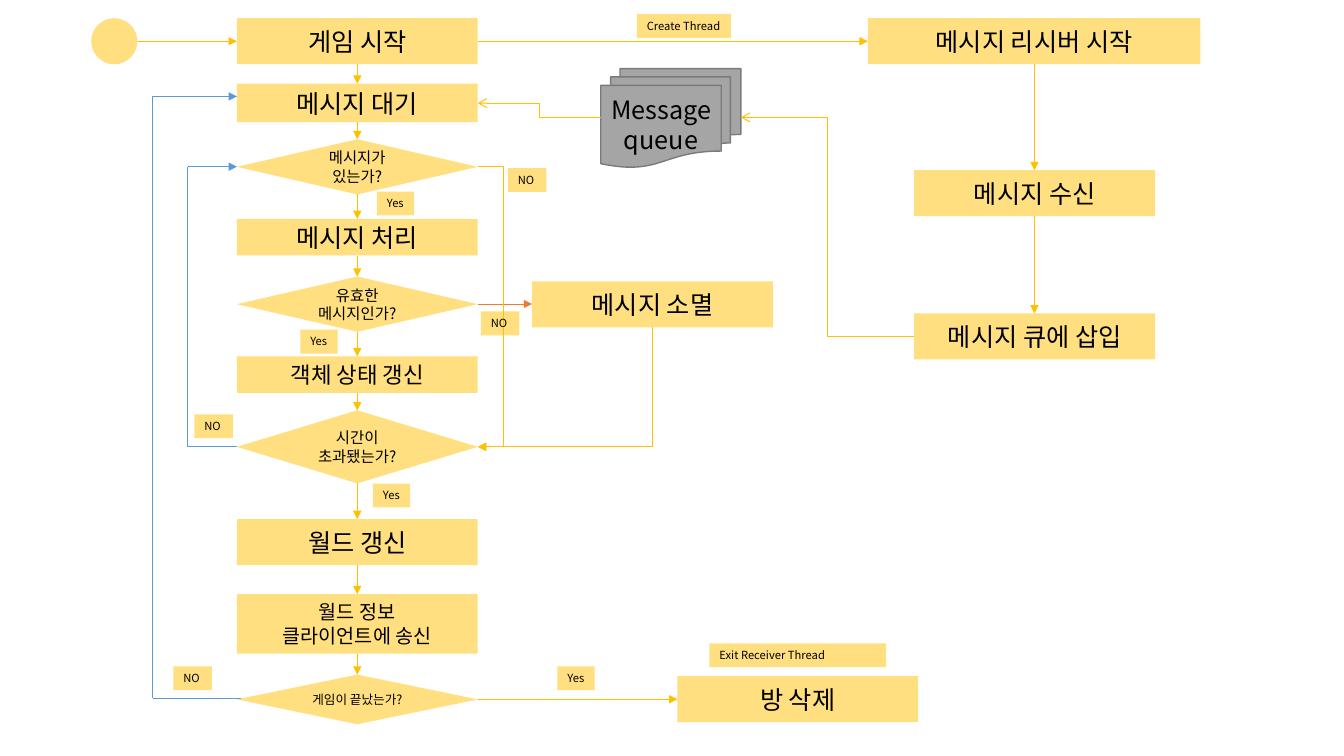
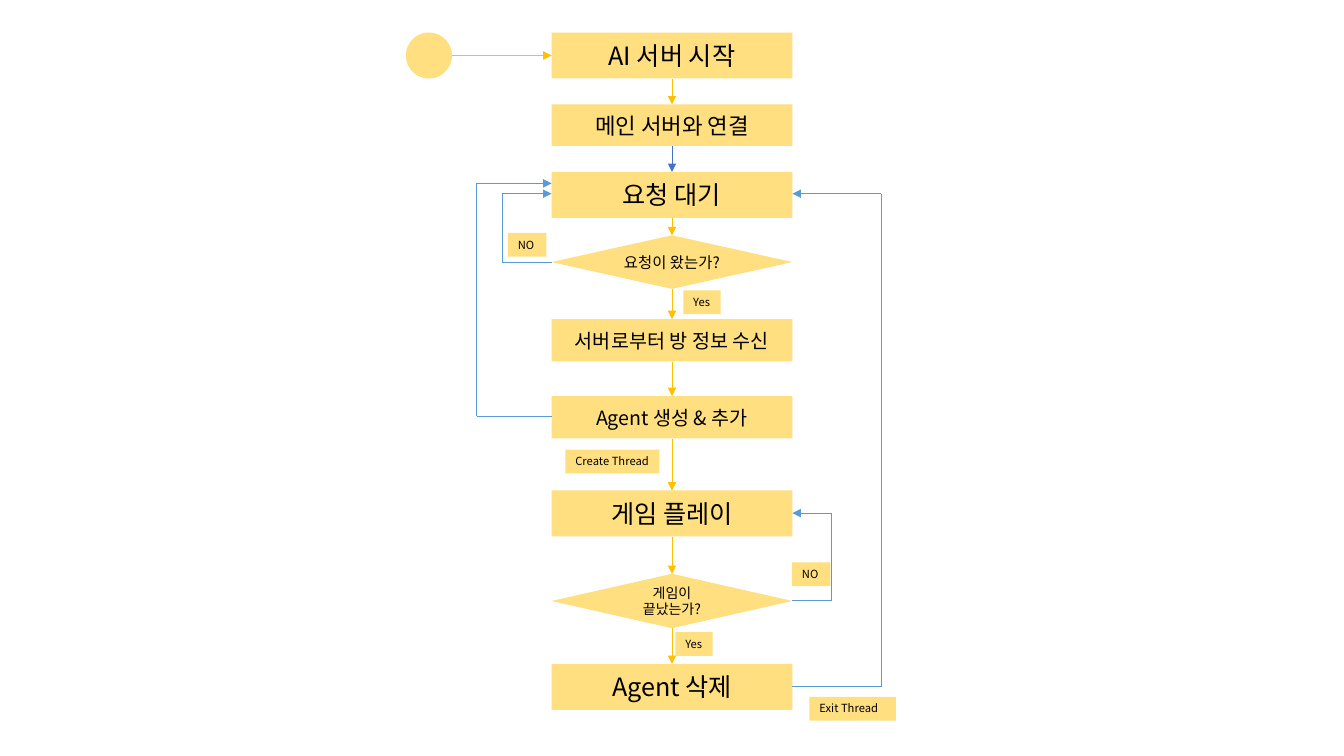
import dataclasses

import lxml.etree
import pptx
import pptx.dml.color
import pptx.enum.shapes
import pptx.enum.text
import pptx.oxml.ns
import pptx.util

Cm = pptx.util.Cm
Pt = pptx.util.Pt
RGB = pptx.dml.color.RGBColor.from_string
qn = pptx.oxml.ns.qn
SHAPE = pptx.enum.shapes.MSO_SHAPE
ELBOW = pptx.enum.shapes.MSO_CONNECTOR.ELBOW
STRAIGHT = pptx.enum.shapes.MSO_CONNECTOR.STRAIGHT
ALIGN = pptx.enum.text.PP_ALIGN
ANCHOR = pptx.enum.text.MSO_ANCHOR
FIT = pptx.enum.text.MSO_AUTO_SIZE.SHAPE_TO_FIT_TEXT


@dataclasses.dataclass(frozen=True)
class Theme:
    font: str = "Noto Sans CJK KR"
    ink: str = "000000"
    amber: str = "FFC000"
    blue: str = "5B9BD5"
    navy: str = "4472C4"
    orange: str = "ED7D31"
    gray: str = "A5A5A5"
    gray_edge: str = "7A7A7A"
    large: int = 18
    medium: int = 16
    small: int = 14
    question: int = 11
    question_small: int = 10
    question_tiny: int = 9
    label: int = 8


T = Theme()
BOX_W, BOX_H = 6.07, 1.16
LABEL_H = 0.6
RECT, DECISION = SHAPE.RECTANGLE, SHAPE.FLOWCHART_DECISION


def box(s, text, x, y, w=BOX_W, h=BOX_H, kind=RECT, size=T.large,
        fill=T.amber, edge=None, label=False, wrap=True):
    """Place a filled shape, or a text box when label is set."""
    at = Cm(x), Cm(y), Cm(w), Cm(h)
    if label:
        sp = s.shapes.add_textbox(*at)
    else:
        sp = s.shapes.add_shape(kind, *at)
        sp.shadow.inherit = False
    sp.fill.solid()
    sp.fill.fore_color.rgb = RGB(fill)
    if edge:
        sp.line.color.rgb = RGB(edge)
        sp.line.width = Pt(1)
    else:
        sp.line.fill.background()
        color = sp.element.spPr.find(qn("a:solidFill"))[0]
        lxml.etree.SubElement(color, qn("a:alpha"), val="50000")
    if not text:
        return
    tf = sp.text_frame
    tf.word_wrap = wrap
    tf.vertical_anchor = ANCHOR.TOP if label else ANCHOR.MIDDLE
    if label:
        tf.auto_size = FIT
    for i, words in enumerate(text.split("\n")):
        p = tf.add_paragraph() if i else tf.paragraphs[0]
        p.alignment = ALIGN.LEFT if label else ALIGN.CENTER
        r = p.add_run()
        r.text = words
        r.font.size = Pt(size)
        r.font.name = T.font
        r.font.color.rgb = RGB(T.ink)
        lxml.etree.SubElement(r.font._element, qn("a:ea"), typeface=T.font)


def route(s, *points, color=T.amber, kind=STRAIGHT, width=0.5, head="triangle"):
    """Join the points by connectors; the last one has the arrowhead."""
    for i, (a, b) in enumerate(zip(points, points[1:])):
        c = s.shapes.add_connector(kind, *(Cm(v) for v in a + b))
        c.line.color.rgb = RGB(color)
        c.line.width = Pt(width)
        spPr = c.element.spPr
        if i == len(points) - 2:
            lxml.etree.SubElement(spPr.find(qn("a:ln")), qn("a:tailEnd"), type=head)
        lxml.etree.SubElement(spPr, qn("a:effectLst"))
    return c


prs = pptx.Presentation()
prs.slide_width, prs.slide_height = Cm(33.87), Cm(19.05)

# Both flows: start circle, then the steps (text, kind, top, height, size)
flows = [
    (5.97, 2.3, [
        ("게임 시작", RECT, 0.46, BOX_H, T.large),
        ("메시지 대기", RECT, 2.11, 0.97, T.large),
        ("메시지가\n있는가?", DECISION, 3.51, 1.39, T.question),
        ("메시지 처리", RECT, 5.52, 0.92, T.large),
        ("유효한\n메시지인가?", DECISION, 6.97, 1.39, T.question),
        ("객체 상태 갱신", RECT, 8.98, 0.92, T.medium),
        ("시간이\n초과됐는가?", DECISION, 10.34, 1.84, T.question),
        ("월드 갱신", RECT, 13.08, BOX_H, T.large),
        ("월드 정보\n클라이언트에 송신", RECT, 14.97, 1.5, T.small),
        ("게임이 끝났는가?", DECISION, 17, 1.25, T.question_tiny),
    ]),
    (13.9, 10.23, [
        ("AI 서버 시작", RECT, 0.82, BOX_H, T.large),
        ("메인 서버와 연결", RECT, 2.63, 1.05, T.medium),
        ("요청 대기", RECT, 4.33, BOX_H, T.large),
        ("요청이 왔는가?", DECISION, 5.93, 1.35, T.question),
        ("서버로부터 방 정보 수신", RECT, 8.04, 1.07, T.small),
        ("Agent 생성 & 추가", RECT, 9.98, 1.07, T.small),
        ("게임 플레이", RECT, 12.36, BOX_H, T.large),
        ("게임이\n끝났는가?", DECISION, 14.46, 1.37, T.question_small),
        ("Agent 삭제", RECT, 16.73, BOX_H, T.large),
    ]),
]
slides = []
for left, circle, steps in flows:
    s = prs.slides.add_slide(prs.slide_layouts[6])
    slides.append(s)
    top, middle = steps[0][2], left + BOX_W / 2
    box(s, "", circle, top, BOX_H, kind=SHAPE.FLOWCHART_CONNECTOR)
    route(s, (circle + BOX_H, top + BOX_H / 2), (left, top + BOX_H / 2))
    bottom = None
    for text, kind, y, h, size in steps:
        if bottom:
            color = T.navy if text == "요청 대기" else T.amber
            route(s, (middle, bottom), (middle, y), color=color)
        box(s, text, left, y, h=h, kind=kind, size=size)
        bottom = y + h
game, agent = slides

# Game server: receiver thread, message queue and side steps
box(game, "메시지 리시버 시작", 21.87, 0.46, w=8.38)
box(game, "메시지 수신", 23.04, 4.29)
box(game, "메시지 큐에 삽입", 23.04, 7.9)
box(game, "메시지 소멸", 13.41, 7.09)
box(game, "방 삭제", 17.07, 17.04)
box(game, "Message queue", 15.14, 1.73, 3.53, 2.49,
    kind=SHAPE.FLOWCHART_MULTIDOCUMENT, fill=T.gray, edge=T.gray_edge)
route(game, (12.04, 1.04), (21.87, 1.04))
route(game, (26.07, 1.62), (26.07, 4.29))
route(game, (26.07, 5.45), (26.07, 7.9))
route(game, (12.04, 7.66), (13.41, 7.66), color=T.orange)
route(game, (12.04, 17.62), (17.07, 17.62))
route(game, (23.04, 8.47), (18.67, 2.96), kind=ELBOW, width=0.75, head="arrow")
route(game, (15.14, 2.96), (12.04, 2.6), kind=ELBOW, width=0.75, head="arrow")

# No message: step out to the right and come back to the time check
skip = route(game, (12.04, 4.2), (12.05, 11.26), kind=ELBOW)
guides = skip.element.spPr.find(qn("a:prstGeom")).get_or_add_avLst()
lxml.etree.SubElement(guides, qn("a:gd"), name="adj1", fmla="val 6400000")

# Dropped message: down, then left, as a one-corner elbow turned by 90 degrees
x1, y1, x2, y2 = 16.44, 8.25, 12.04, 11.26
cx, cy, half_w, half_h = (x1 + x2) / 2, (y1 + y2) / 2, (y2 - y1) / 2, (x1 - x2) / 2
drop = route(game, (cx - half_w, cy - half_h), (cx + half_w, cy + half_h), kind=ELBOW)
drop.element.spPr.find(qn("a:xfrm")).set("rot", "5400000")
drop.element.spPr.find(qn("a:prstGeom")).set("prst", "bentConnector2")

# Blue loops back: (slide, start x, start y, turn x, end y, end x)
for s, x, y, turn, end_y, end_x in [
    (game, 5.97, 11.26, 4.73, 4.2, 5.97),
    (game, 6.07, 17.6, 3.85, 2.43, 5.97),
    (agent, 13.9, 6.6, 12.65, 4.88, 13.9),
    (agent, 13.9, 10.49, 12.01, 4.62, 13.9),
    (agent, 19.97, 15.14, 20.96, 12.93, 19.97),
    (agent, 19.97, 17.3, 22.2, 4.88, 19.97),
]:
    route(s, (x, y), (turn, y), (turn, end_y), (end_x, end_y), color=T.blue)

# Branch and thread labels
widths = {"NO": 0.97, "Yes": 0.94, "Create Thread": 2.37,
          "Exit Thread": 2.18, "Exit Receiver Thread": 4.45}
for s, text, x, y in [
    (game, "Create Thread", 16.05, 0.36),
    (game, "NO", 12.8, 4.24),
    (game, "Yes", 9.5, 4.83),
    (game, "NO", 12.12, 7.85),
    (game, "Yes", 7.57, 8.31),
    (game, "NO", 4.9, 10.44),
    (game, "Yes", 9.4, 12.19),
    (game, "Exit Receiver Thread", 17.88, 16.21),
    (game, "NO", 4.37, 16.79),
    (game, "Yes", 14.05, 16.79),
    (agent, "NO", 12.8, 5.87),
    (agent, "Yes", 17.22, 7.32),
    (agent, "Create Thread", 14.25, 11.33),
    (agent, "NO", 19.96, 14.17),
    (agent, "Yes", 17.02, 15.93),
    (agent, "Exit Thread", 20.4, 17.56),
]:
    box(s, text, x, y, widths[text], LABEL_H, size=T.label, label=True,
        wrap=text.startswith("Exit"))

prs.save("out.pptx")
